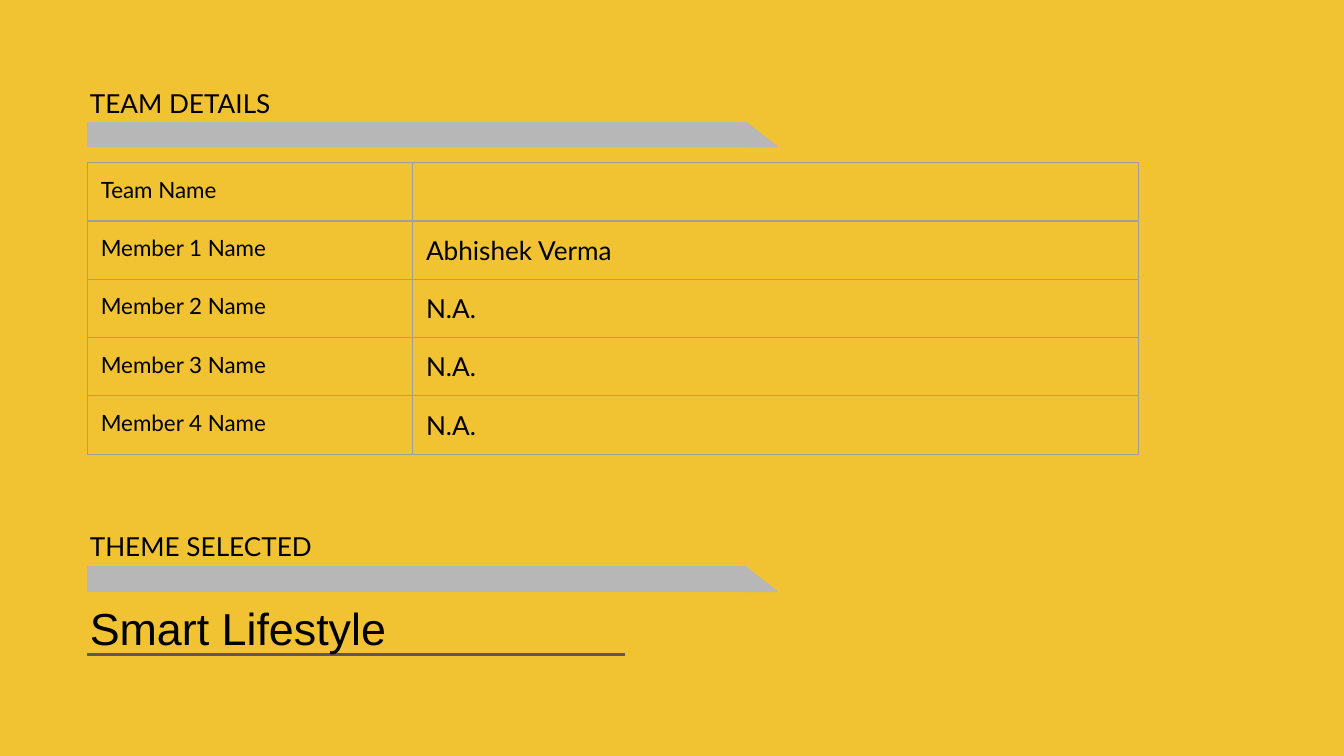
from lxml import etree
from pptx import Presentation
from pptx import util as u
from pptx.dml.color import RGBColor
from pptx.enum import shapes, text
from pptx.oxml.ns import qn

COLORS = {
    "background": "F1C232",
    "banner": "B7B7B7",
    "border": "9E9E9E",
    "rule": "595959",
    "text": "000000",
}
SECTIONS = [("TEAM DETAILS", 0.55, 0.91), ("THEME SELECTED", 3.85, 4.22)]
TEAM = [
    ("Team Name", ""),
    ("Member 1 Name", "Abhishek Verma"),
    ("Member 2 Name", "N.A."),
    ("Member 3 Name", "N.A."),
    ("Member 4 Name", "N.A."),
]
THEME = "Smart Lifestyle"
COLUMN_WIDTHS = [2.42, 5.4]
COLUMN_SIZES = [12, 14]
ROW_HEIGHT = 0.43
LEFT, TEXT_LEFT = 0.65, 0.57
BANNER_WIDTH, TIP_WIDTH, BANNER_HEIGHT = 4.9, 0.23, 0.18


def color(name):
    return RGBColor.from_string(COLORS[name])


def add_run(paragraph, words, size, font="Lato"):
    run = paragraph.add_run()
    run.text = words
    run.font.size = u.Pt(size)
    run.font.name = font
    run.font.color.rgb = color("text")


def add_text(slide, box, words, size, font="Lato", margin=0.1):
    shape = slide.shapes.add_textbox(*map(u.Inches, box))
    frame = shape.text_frame
    frame.word_wrap = True
    frame.vertical_anchor = text.MSO_ANCHOR.TOP
    frame.margin_left = frame.margin_right = u.Inches(0.1)
    frame.margin_top = frame.margin_bottom = u.Inches(margin)
    add_run(frame.paragraphs[0], words, size, font)
    return shape


def add_section(slide, title, title_top, banner_top):
    pieces = [
        (shapes.MSO_SHAPE.RECTANGLE, LEFT, BANNER_WIDTH),
        (shapes.MSO_SHAPE.RIGHT_TRIANGLE, LEFT + BANNER_WIDTH, TIP_WIDTH),
    ]
    for kind, left, width in pieces:
        box = (left, banner_top, width, BANNER_HEIGHT)
        shape = slide.shapes.add_shape(kind, *map(u.Inches, box))
        shape.shadow.inherit = False
        shape.fill.solid()
        shape.fill.fore_color.rgb = color("banner")
        shape.line.color.rgb = color("banner")
        shape.line.width = u.Pt(0.75)
    add_text(slide, (TEXT_LEFT, title_top, 4.91, 0.43), title, 14)


def add_borders(cell):
    properties = cell._tc.get_or_add_tcPr()
    for position, side in enumerate(("a:lnL", "a:lnR", "a:lnT", "a:lnB")):
        line = etree.Element(qn(side), w=str(u.Pt(0.75)))
        fill = etree.SubElement(line, qn("a:solidFill"))
        etree.SubElement(fill, qn("a:srgbClr"), val=COLORS["border"])
        properties.insert(position, line)


def add_team_table(slide):
    box = (LEFT, 1.21, sum(COLUMN_WIDTHS), ROW_HEIGHT * len(TEAM))
    frame = slide.shapes.add_table(len(TEAM), len(COLUMN_WIDTHS), *map(u.Inches, box))
    table = frame.table
    table.first_row = table.horz_banding = False
    for column, width in zip(table.columns, COLUMN_WIDTHS):
        column.width = u.Inches(width)
    for row, values in zip(table.rows, TEAM):
        row.height = u.Inches(ROW_HEIGHT)
        for cell, words, size in zip(row.cells, values, COLUMN_SIZES):
            cell.margin_left = cell.margin_right = u.Inches(0.1)
            cell.margin_top = cell.margin_bottom = u.Inches(0.1)
            cell.fill.background()
            add_borders(cell)
            paragraph = cell.text_frame.paragraphs[0]
            if words:
                add_run(paragraph, words, size)
            else:
                etree.SubElement(paragraph._p, qn("a:endParaRPr"), sz=str(size * 100))


def add_theme(slide):
    ends = (LEFT, 4.87, LEFT + 4, 4.87)
    rule = slide.shapes.add_connector(shapes.MSO_CONNECTOR.STRAIGHT, *map(u.Inches, ends))
    rule.line.color.rgb = color("rule")
    rule.line.width = u.Pt(1.5)
    etree.SubElement(rule._element.spPr, qn("a:effectLst"))
    shape = add_text(slide, (TEXT_LEFT, 4.42, 2.5, 0.5), THEME, 24, "Arial", 0.05)
    shape.text_frame.auto_size = text.MSO_AUTO_SIZE.SHAPE_TO_FIT_TEXT


def main():
    presentation = Presentation()
    presentation.slide_width = u.Inches(10)
    presentation.slide_height = presentation.slide_width * 9 // 16
    slide = presentation.slides.add_slide(presentation.slide_layouts[6])
    slide.background.fill.solid()
    slide.background.fill.fore_color.rgb = color("background")
    for title, title_top, banner_top in SECTIONS:
        add_section(slide, title, title_top, banner_top)
    add_team_table(slide)
    add_theme(slide)
    presentation.save("out.pptx")


if __name__ == "__main__":
    main()
